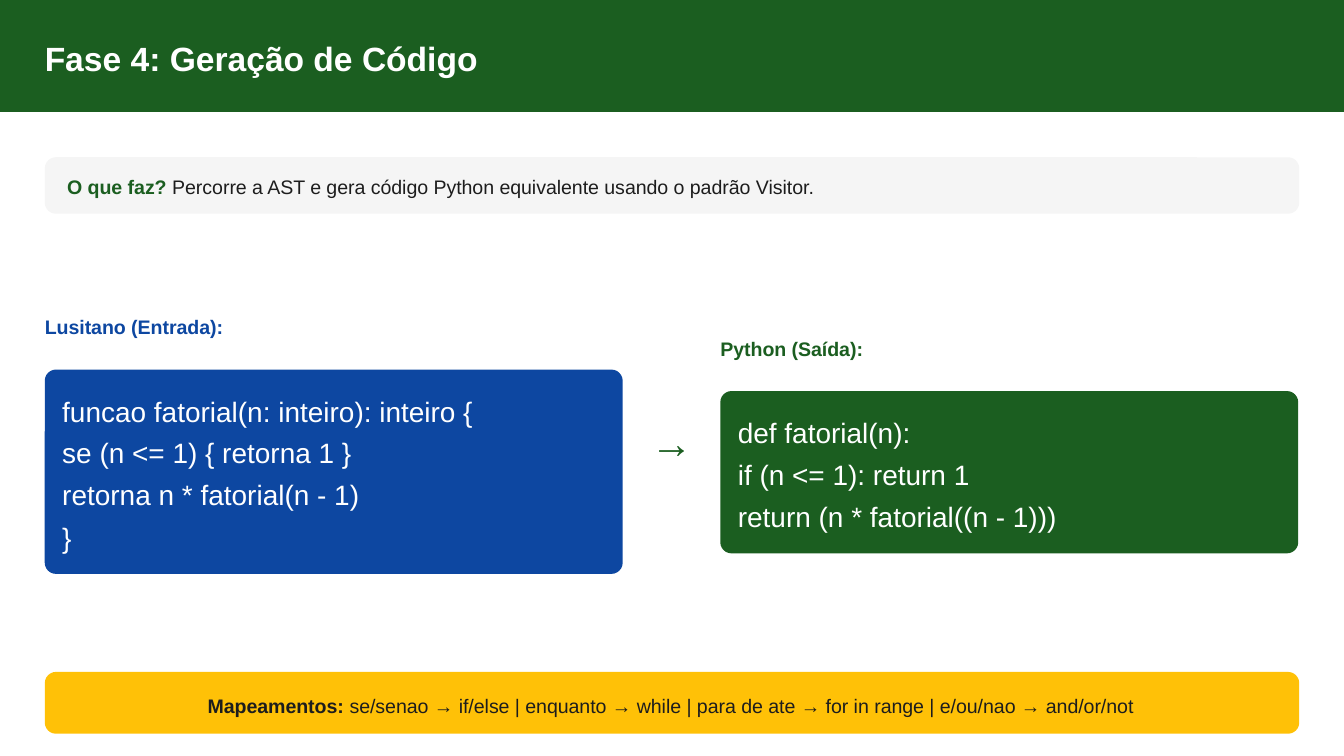
import dataclasses
import typing

import pptx
import pptx.dml.color
import pptx.enum.shapes
import pptx.enum.text
import pptx.util

Inches = pptx.util.Inches
Pt = pptx.util.Pt
Kind = pptx.enum.shapes.MSO_SHAPE
Align = pptx.enum.text.PP_ALIGN

COLORS = {
    "green": "1B5E20",
    "blue": "0D47A1",
    "gold": "FFC107",
    "pale": "F5F5F5",
    "dark": "1D1D1D",
    "white": "FFFFFF",
}
FONT = "Arial"
PAGE = 10
EDGE = 1 / 3
WIDE = PAGE - 2 * EDGE
ROUND = 1 / 12  # corner radius in inches
STEP = 5 / 16  # distance between code lines


@dataclasses.dataclass
class Panel:
    left: float
    top: float
    color: str
    label: str
    lines: typing.List[str]


PANELS = [
    Panel(EDGE, 2.75, "blue", "Lusitano (Entrada):", [
        "funcao fatorial(n: inteiro): inteiro {",
        "se (n <= 1) { retorna 1 }",
        "retorna n * fatorial(n - 1)",
        "}",
    ]),
    Panel(5.36, 2.91, "green", "Python (Saída):", [
        "def fatorial(n):",
        "if (n <= 1): return 1",
        "return (n * fatorial((n - 1)))",
    ]),
]


def shade(name: str) -> pptx.dml.color.RGBColor:
    return pptx.dml.color.RGBColor.from_string(COLORS[name])


def add_block(slide, left: float, top: float, width: float, height: float,
              color: str, rounded: bool = True) -> None:
    kind = Kind.ROUNDED_RECTANGLE if rounded else Kind.RECTANGLE
    block = slide.shapes.add_shape(
        kind, Inches(left), Inches(top), Inches(width), Inches(height))
    if rounded:
        block.adjustments[0] = ROUND / min(width, height)
    block.fill.solid()
    block.fill.fore_color.rgb = shade(color)
    block.line.fill.background()
    block.shadow.inherit = False


def add_text(slide, text: str, left: float, top: float, width: float,
             height: float, *, size: float = 10.5, color: str = "dark",
             bold: bool = False, lead: str = "", tint: str = "dark",
             line: float = 15, before: float = 0, after: float = 0,
             align=Align.LEFT) -> None:
    """Place one line of text, with an optional bold lead-in in its own tint."""
    box = slide.shapes.add_textbox(
        Inches(left), Inches(top), Inches(width), Inches(height))
    frame = box.text_frame
    frame.word_wrap = True
    frame.margin_left = frame.margin_right = 0
    frame.margin_top = frame.margin_bottom = 0
    para = frame.paragraphs[0]
    para.alignment = align
    para.line_spacing = Pt(line)
    para.space_before = Pt(before)
    para.space_after = Pt(after)
    for words, hue, heavy in ((lead, tint, True), (text, color, bold)):
        if words:
            run = para.add_run()
            run.text = words
            run.font.name = FONT
            run.font.size = Pt(size)
            run.font.bold = heavy
            run.font.color.rgb = shade(hue)


def add_panel(slide, panel: Panel) -> None:
    add_text(slide, panel.label, panel.left, panel.top - 0.44, 4.39, 0.21,
             color=panel.color, bold=True, after=4.5)
    add_block(slide, panel.left, panel.top, 4.3,
              STEP * len(panel.lines) + 0.27, panel.color)
    for row, code in enumerate(panel.lines):
        add_text(slide, code, panel.left + 0.13,
                 panel.top + 0.14 + row * STEP, 4.13, 0.29,
                 size=15, color="white", line=21, before=1.5, after=1.5)


def main() -> None:
    deck = pptx.Presentation()
    deck.slide_width = Inches(PAGE)
    deck.slide_height = Inches(PAGE * 9 / 16)
    slide = deck.slides.add_slide(deck.slide_layouts[6])

    # Title band
    add_block(slide, 0, 0, PAGE, 5 / 6, "green", rounded=False)
    add_text(slide, "Fase 4: Geração de Código", EDGE, 0.25, 4.77, 0.33,
             size=18, color="white", bold=True, line=24)

    # Purpose of the phase
    add_block(slide, EDGE, 1.17, WIDE, 0.42, "pale")
    add_text(slide, " Percorre a AST e gera código Python equivalente "
             "usando o padrão Visitor.", 0.5, 1.27, 9.18, 0.21,
             lead="O que faz?", tint="green")

    # Input and output code, with the arrow between
    for panel in PANELS:
        add_panel(slide, panel)
    add_text(slide, "→", 4.84, 3.1, 0.32, 0.37,
             size=22.5, color="green", line=27)

    # Keyword mappings
    add_block(slide, EDGE, 5, WIDE, 0.46, "gold")
    add_text(slide, " se/senao → if/else | enquanto → while | "
             "para de ate → for in range | e/ou/nao → and/or/not",
             0.45, 5.13, 9.09, 0.21, lead="Mapeamentos:", align=Align.CENTER)

    deck.save("out.pptx")


if __name__ == "__main__":
    main()
